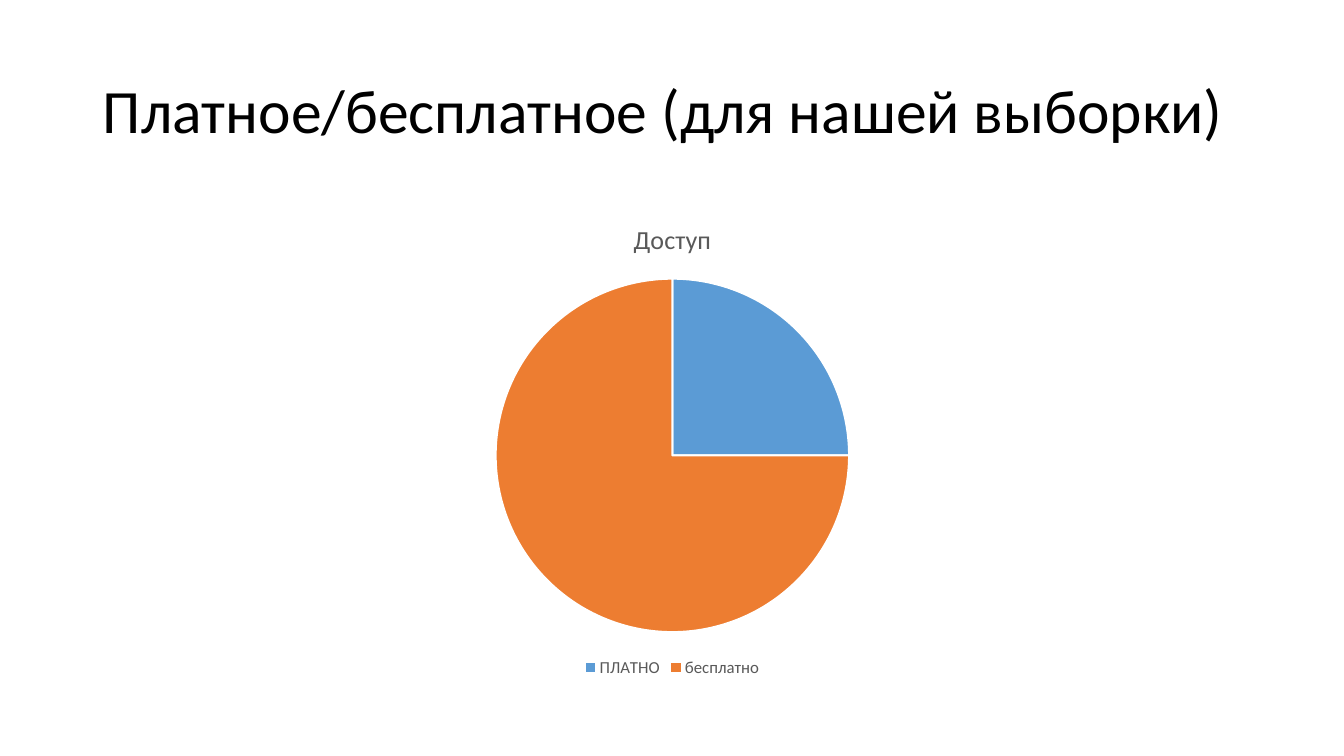
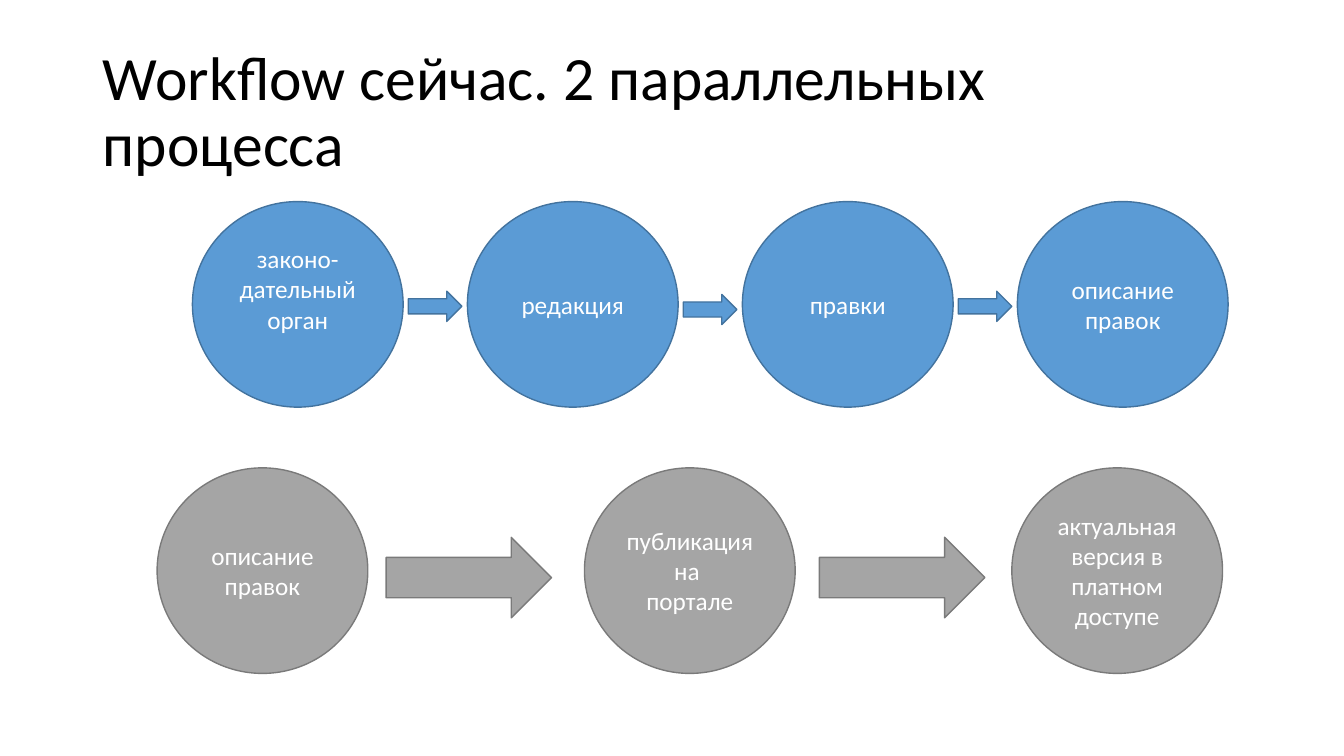
from dataclasses import dataclass

from pptx import Presentation
from pptx.chart.data import CategoryChartData
from pptx.dml.color import RGBColor
from pptx.enum.chart import XL_CHART_TYPE, XL_LEGEND_POSITION
from pptx.enum.shapes import MSO_SHAPE
from pptx.enum.text import MSO_ANCHOR, MSO_AUTO_SIZE, PP_ALIGN
from pptx.util import Cm, Pt

PIE = XL_CHART_TYPE.PIE
LEGEND_BOTTOM = XL_LEGEND_POSITION.BOTTOM
OVAL = MSO_SHAPE.OVAL
RIGHT_ARROW = MSO_SHAPE.RIGHT_ARROW
MIDDLE = MSO_ANCHOR.MIDDLE
NO_AUTOFIT = MSO_AUTO_SIZE.NONE
LEFT, CENTER = PP_ALIGN.LEFT, PP_ALIGN.CENTER
TITLE_ONLY = 5


@dataclass(frozen=True)
class Theme:
    """Colours, font and type sizes shared by the slides."""
    font: str = "Calibri"
    black: str = "000000"
    white: str = "FFFFFF"
    muted: str = "595959"
    blue: str = "5B9BD5"
    blue_edge: str = "43739E"
    orange: str = "ED7D31"
    gray: str = "A5A5A5"
    gray_edge: str = "7A7A7A"
    title_size: float = 44
    chart_title_size: float = 18.6
    step_size: float = 18
    legend_size: float = 12
    chart_size: float = 10
    edge_width: float = 1
    slice_edge_width: float = 1.5


@dataclass(frozen=True)
class Process:
    """One row of steps and arrows; lengths in centimetres."""
    steps: tuple
    left: float
    top: float
    pitch: float
    arrow_left: float
    arrow_tops: tuple
    arrow_pitch: float
    arrow_size: tuple
    fill: str
    edge: str


THEME = Theme()
CONTENT_LEFT, CONTENT_WIDTH = 2.34, 29.21
STEP_WIDTH, STEP_HEIGHT = 5.31, 5.18
INSET = 0.13
TEXT_LINE = 0.78

# Each step: its paragraphs and the number of text lines it is raised by.
EDITING = Process(
    steps=((("законо-дательный орган",), 1), (("редакция",), 0),
           (("правки",), 0), (("описание правок",), 0)),
    left=4.85, top=5.08, pitch=6.93,
    arrow_left=10.29, arrow_tops=(7.34, 7.42, 7.34), arrow_pitch=6.93,
    arrow_size=(1.35, 0.76), fill=THEME.blue, edge=THEME.blue_edge)
PUBLISHING = Process(
    steps=((("описание правок",), 0), (("публикация", "на ", "портале"), 0),
           (("актуальная версия в платном доступе",), 0)),
    left=3.96, top=11.79, pitch=10.77,
    arrow_left=9.73, arrow_tops=(13.54, 13.54), arrow_pitch=10.92,
    arrow_size=(4.17, 2.03), fill=THEME.gray, edge=THEME.gray_edge)


def style_font(font, size, color):
    """Apply the theme font with a size and colour."""
    font.name = THEME.font
    font.size = Pt(size)
    font.bold = False
    font.color.rgb = RGBColor.from_string(color)


def write_paragraph(paragraph, text, size, color, alignment):
    """Write one run into a paragraph and align it."""
    paragraph.alignment = alignment
    run = paragraph.add_run()
    run.text = text
    style_font(run.font, size, color)


def paint(target, fill, edge, width):
    """Set a solid fill and outline on a shape or chart format."""
    target.fill.solid()
    target.fill.fore_color.rgb = RGBColor.from_string(fill)
    target.line.color.rgb = RGBColor.from_string(edge)
    target.line.width = Pt(width)


def add_titled_slide(deck, heading):
    """Add a slide with the shared title style."""
    slide = deck.slides.add_slide(deck.slide_layouts[TITLE_ONLY])
    title = slide.shapes.title
    title.left, title.top = Cm(CONTENT_LEFT), Cm(1.02)
    title.width, title.height = Cm(CONTENT_WIDTH), Cm(3.68)
    frame = title.text_frame
    frame.word_wrap = True
    frame.auto_size = NO_AUTOFIT
    frame.vertical_anchor = MIDDLE
    paragraph = frame.paragraphs[0]
    paragraph.line_spacing = 0.9
    write_paragraph(paragraph, heading, THEME.title_size, THEME.black, LEFT)
    return slide


def add_pie(slide, heading, shares, colors):
    """Add a titled pie chart with its legend below."""
    data = CategoryChartData()
    data.categories = list(shares)
    data.add_series("Series 1", list(shares.values()))
    chart = slide.shapes.add_chart(
        PIE, Cm(CONTENT_LEFT), Cm(5.08), Cm(CONTENT_WIDTH), Cm(12.09), data).chart
    style_font(chart.font, THEME.chart_size, THEME.black)
    chart.has_title = True
    write_paragraph(chart.chart_title.text_frame.paragraphs[0], heading,
                    THEME.chart_title_size, THEME.muted, CENTER)
    chart.has_legend = True
    chart.legend.position = LEGEND_BOTTOM
    chart.legend.include_in_layout = False
    style_font(chart.legend.font, THEME.legend_size, THEME.muted)
    plot = chart.plots[0]
    plot.vary_by_categories = True
    for index, color in enumerate(colors):
        paint(plot.series[0].points[index].format, color,
              THEME.white, THEME.slice_edge_width)


def add_process_shape(slide, kind, left, top, size, process):
    """Add a flat preset shape in the colours of its process."""
    shape = slide.shapes.add_shape(
        kind, Cm(left), Cm(top), Cm(size[0]), Cm(size[1]))
    shape.shadow.inherit = False
    paint(shape, process.fill, process.edge, THEME.edge_width)
    return shape


def write_step(step, lines, raised_lines):
    """Write centred text in a step, raised by whole text lines."""
    frame = step.text_frame
    frame.word_wrap = True
    frame.vertical_anchor = MIDDLE
    frame.margin_bottom = Cm(INSET + raised_lines * TEXT_LINE)
    for index, line in enumerate(lines):
        paragraph = frame.add_paragraph() if index else frame.paragraphs[0]
        write_paragraph(paragraph, line, THEME.step_size, THEME.white, CENTER)


def add_process(slide, process):
    """Add a row of round steps and the arrows between them."""
    for index, (lines, raised_lines) in enumerate(process.steps):
        step = add_process_shape(
            slide, OVAL, process.left + index * process.pitch, process.top,
            (STEP_WIDTH, STEP_HEIGHT), process)
        write_step(step, lines, raised_lines)
    for index, top in enumerate(process.arrow_tops):
        add_process_shape(
            slide, RIGHT_ARROW, process.arrow_left + index * process.arrow_pitch,
            top, process.arrow_size, process)


def main():
    """Build and save the presentation."""
    deck = Presentation()
    deck.slide_width, deck.slide_height = Cm(33.87), Cm(19.05)

    access = add_titled_slide(deck, "Платное/бесплатное (для нашей выборки)")
    add_pie(access, "Доступ", {"ПЛАТНО": 25, "бесплатно": 75},
            (THEME.blue, THEME.orange))

    workflow = add_titled_slide(deck, "Workflow сейчас. 2 параллельных процесса")
    for process in (EDITING, PUBLISHING):
        add_process(workflow, process)

    deck.save("out.pptx")


main()
